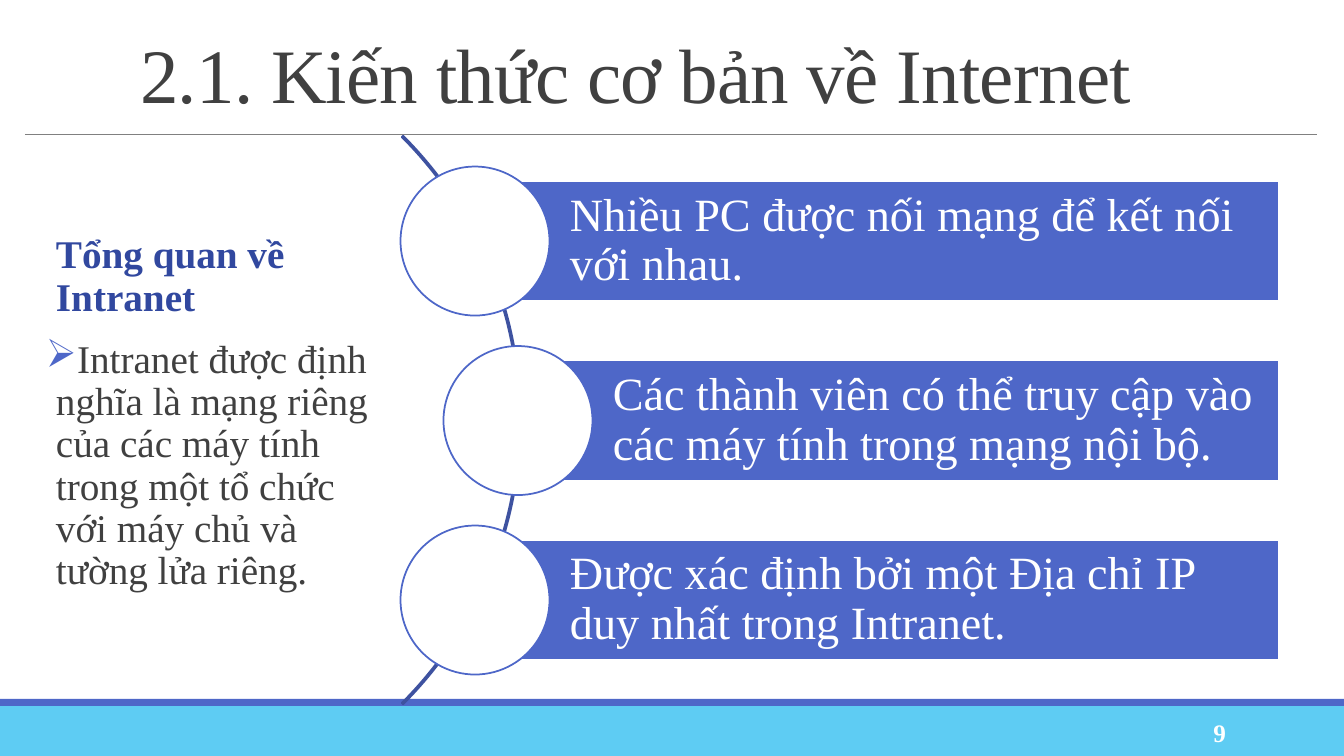
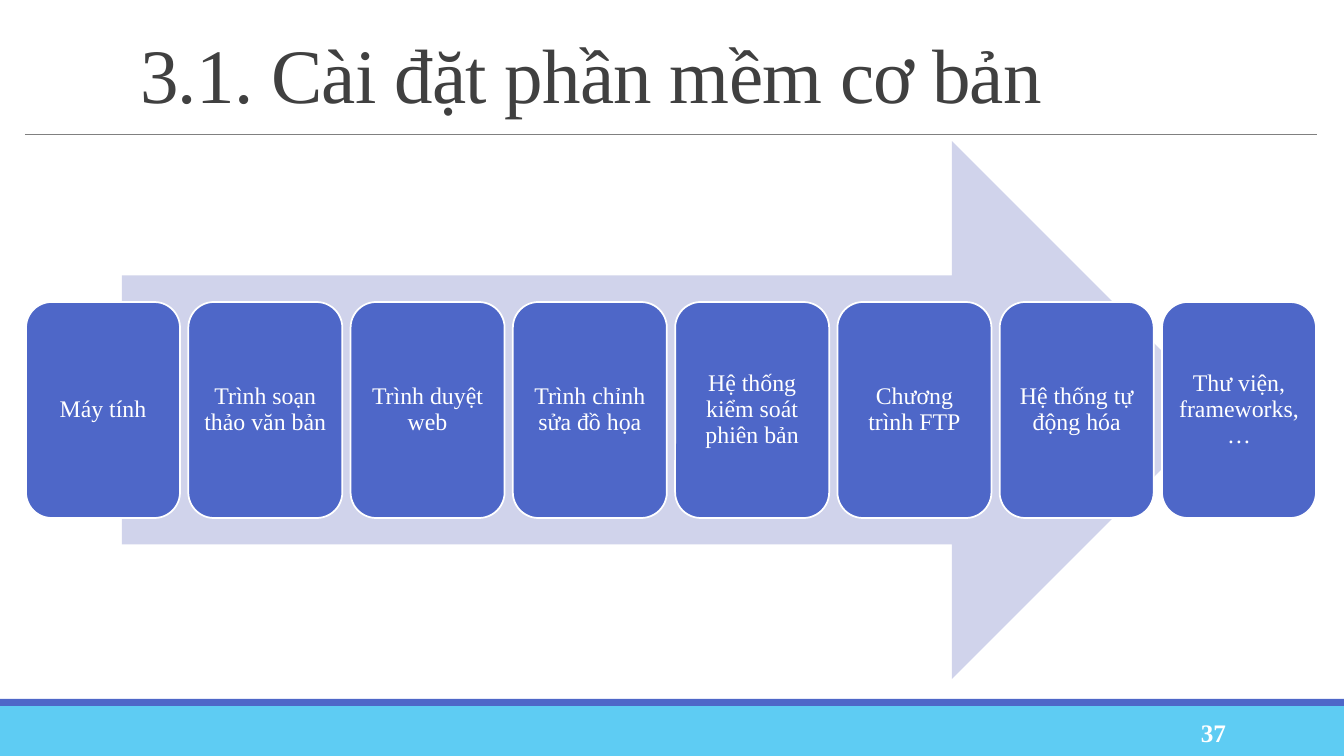
from lxml.etree import SubElement
from pptx import Presentation
from pptx.dml.color import RGBColor
from pptx.enum.shapes import MSO_CONNECTOR, MSO_SHAPE
from pptx.enum.text import MSO_ANCHOR, MSO_AUTO_SIZE, PP_ALIGN
from pptx.oxml.ns import qn
from pptx.util import Emu, Pt

EMU_PER_PX = 914400 / 100.8
SLIDE_WIDTH, SLIDE_HEIGHT = 1344, 756
FONT = "Times New Roman"
BLUE, SKY, WHITE, DARK = "4E67C8", "5ECCF3", "FFFFFF", "404040"
NAVY, ARC_BLUE, PALE, GREY = "31489F", "3E52A0", "D0D3EB", "808080"

BANDS = [((0, 706, SLIDE_WIDTH, 50), SKY), ((0, 699, SLIDE_WIDTH, 7), BLUE)]
TITLE_BOX = (130, 31, 1187, 97)
TITLE_RULE = (25, 134, 1317, 134)
NUMBER_BOX = (1092, 712, 144, 40)

INTRANET = {
    "title": "2.1. Kiến thức cơ bản về Internet",
    "number": "9",
    "heading": "Tổng quan về Intranet",
    "definition": "Intranet được định nghĩa là mạng riêng của các máy tính "
                  "trong một tổ chức với máy chủ và tường lửa riêng.",
    "points": [
        (475, "Nhiều PC được nối mạng để kết nối với nhau."),
        (518, "Các thành viên có thể truy cập vào các máy tính trong mạng nội bộ."),
        (475, "Được xác định bởi một Địa chỉ IP duy nhất trong Intranet."),
    ],
}
SOFTWARE = {
    "title": "3.1. Cài đặt phần mềm cơ bản",
    "number": "37",
    "steps": [
        "Máy tính",
        "Trình soạn thảo văn bản",
        "Trình duyệt web",
        "Trình chỉnh sửa đồ họa",
        "Hệ thống kiểm soát phiên bản",
        "Chương trình FTP",
        "Hệ thống tự động hóa",
        "Thư viện, frameworks, …",
    ],
}

INTRO_BOX = (46, 230, 346, 381)
INTRO_INDENT = 10
ARC_BOX = (-283, 18, 804, 804)
ARC_THICKNESS = 2
BAR_FIRST_TOP, BAR_LAST_TOP, BAR_RIGHT, BAR_HEIGHT = 181, 540, 1279, 120
CIRCLE_SIZE = 149
ARROW_BOX = (122, 141, 1099, 538)
STEP_FIRST_LEFT, STEP_LAST_LEFT = 26, 1162
STEP_TOP, STEP_WIDTH, STEP_HEIGHT = 302, 154, 216


def px(length):
    return Emu(round(length * EMU_PER_PX))


def color(value):
    return RGBColor.from_string(value)


def spread(first, last, count):
    return [first + index * (last - first) / (count - 1) for index in range(count)]


def add_box(slide, kind, place, fill=None, line=None):
    box = slide.shapes.add_shape(kind, *map(px, place))
    box.shadow.inherit = False
    if fill:
        box.fill.solid()
        box.fill.fore_color.rgb = color(fill)
    else:
        box.fill.background()
    if line:
        box.line.color.rgb = color(line)
        box.line.width = Pt(1.25)
    else:
        box.line.fill.background()
    return box


def set_frame(box, insets, anchor=MSO_ANCHOR.MIDDLE):
    frame = box.text_frame
    frame.word_wrap = True
    frame.auto_size = MSO_AUTO_SIZE.NONE
    frame.vertical_anchor = anchor
    frame.margin_left, frame.margin_top, frame.margin_right, frame.margin_bottom = map(px, insets)
    return frame


def write(para, text, size, fill, bold=False, align=PP_ALIGN.LEFT, spacing=0.9):
    para.alignment = align
    para.line_spacing = spacing
    span = para.add_run()
    span.text = text
    span.font.name = FONT
    span.font.size = Pt(size)
    span.font.bold = bold
    span.font.color.rgb = color(fill)
    return span


def add_page(deck, content):
    page = deck.slides.add_slide(deck.slide_layouts[5])
    for place, fill in BANDS:
        add_box(page, MSO_SHAPE.RECTANGLE, place, fill)
    rule = page.shapes.add_connector(MSO_CONNECTOR.STRAIGHT, *map(px, TITLE_RULE))
    rule.line.color.rgb = color(GREY)
    rule.line.width = Pt(0.5)
    SubElement(rule._element.spPr, qn("a:effectLst"))

    title = page.shapes.title
    title.left, title.top, title.width, title.height = map(px, TITLE_BOX)
    frame = set_frame(title, (10, 5, 10, 5))
    span = write(frame.paragraphs[0], content["title"], 55, DARK, spacing=0.85)
    span.font._element.set("spc", "-50")

    number = page.shapes.add_textbox(*map(px, NUMBER_BOX))
    frame = set_frame(number, (10, 5, 10, 5))
    write(frame.paragraphs[0], content["number"], 18, WHITE, True, PP_ALIGN.RIGHT, 1.0)
    return page


def add_introduction(page, heading, definition):
    box = page.shapes.add_textbox(*map(px, INTRO_BOX))
    frame = set_frame(box, (0, 5, 0, 5), MSO_ANCHOR.TOP)
    heading_para = frame.paragraphs[0]
    definition_para = frame.add_paragraph()
    for para in (heading_para, definition_para):
        para._p.get_or_add_pPr().set("marL", str(px(INTRO_INDENT)))
        para.space_after = Pt(2)
    properties = definition_para._p.get_or_add_pPr()
    properties.set("indent", str(-px(INTRO_INDENT)))
    bullet_color = SubElement(properties, qn("a:buClr"))
    SubElement(bullet_color, qn("a:srgbClr"), val=BLUE)
    SubElement(properties, qn("a:buChar"), char="➢")
    definition_para.space_before = Pt(12)
    write(heading_para, heading, 28, NAVY, True)
    write(definition_para, definition, 28, DARK)


def add_points(page, points):
    arc = add_box(page, MSO_SHAPE.BLOCK_ARC, ARC_BOX, line=ARC_BLUE)
    arc.adjustments[0] = 189
    arc.adjustments[1] = 27
    arc.adjustments[2] = ARC_THICKNESS / ARC_BOX[2]
    tops = spread(BAR_FIRST_TOP, BAR_LAST_TOP, len(points))
    for top, (left, text) in zip(tops, points):
        place = (left, top, BAR_RIGHT - left, BAR_HEIGHT)
        bar = add_box(page, MSO_SHAPE.RECTANGLE, place, BLUE, WHITE)
        write(set_frame(bar, (95, 9, 9, 9)).paragraphs[0], text, 33, WHITE)
        circle_top = top + (BAR_HEIGHT - CIRCLE_SIZE) / 2
        place = (left - CIRCLE_SIZE / 2, circle_top, CIRCLE_SIZE, CIRCLE_SIZE)
        add_box(page, MSO_SHAPE.OVAL, place, WHITE, BLUE)


def add_steps(page, steps):
    add_box(page, MSO_SHAPE.RIGHT_ARROW, ARROW_BOX, PALE)
    lefts = spread(STEP_FIRST_LEFT, STEP_LAST_LEFT, len(steps))
    for left, text in zip(lefts, steps):
        place = (left, STEP_TOP, STEP_WIDTH, STEP_HEIGHT)
        step = add_box(page, MSO_SHAPE.ROUNDED_RECTANGLE, place, BLUE, WHITE)
        para = set_frame(step, (7, 7, 7, 7)).paragraphs[0]
        write(para, text, 17, WHITE, align=PP_ALIGN.CENTER)


def main():
    deck = Presentation()
    deck.slide_width, deck.slide_height = px(SLIDE_WIDTH), px(SLIDE_HEIGHT)
    page = add_page(deck, INTRANET)
    add_introduction(page, INTRANET["heading"], INTRANET["definition"])
    add_points(page, INTRANET["points"])
    page = add_page(deck, SOFTWARE)
    add_steps(page, SOFTWARE["steps"])
    deck.save("out.pptx")


if __name__ == "__main__":
    main()
